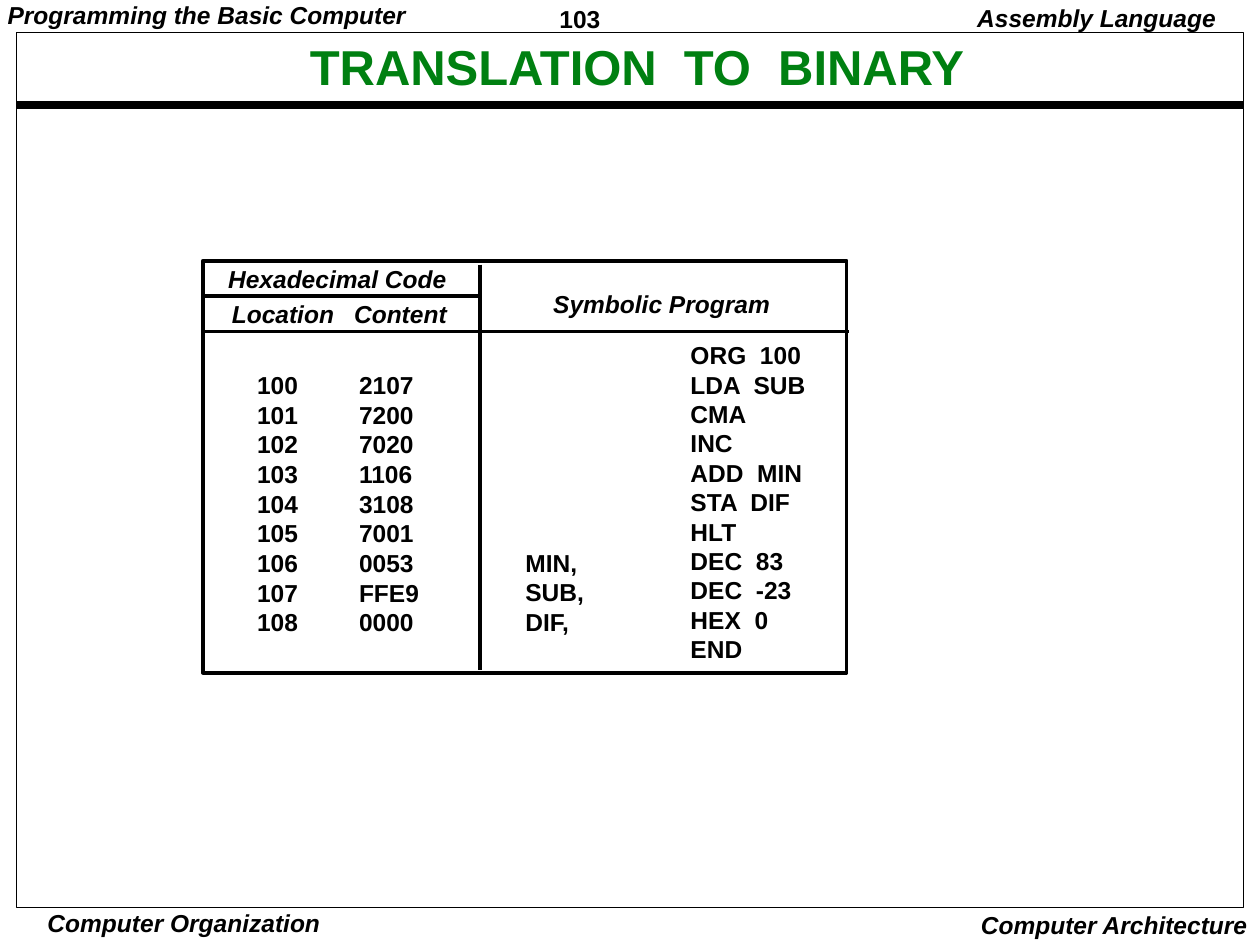
from lxml import etree
from pptx import Presentation
from pptx.dml.color import RGBColor
from pptx.enum.shapes import MSO_CONNECTOR, MSO_SHAPE
from pptx.enum.text import MSO_ANCHOR, MSO_AUTO_SIZE, PP_ALIGN
from pptx.oxml.ns import qn
from pptx.util import Inches, Pt

LEFT, CENTER, RIGHT = PP_ALIGN.LEFT, PP_ALIGN.CENTER, PP_ALIGN.RIGHT
MIDDLE = MSO_ANCHOR.MIDDLE
STRAIGHT = MSO_CONNECTOR.STRAIGHT
RECTANGLE = MSO_SHAPE.RECTANGLE
NO_AUTO_SIZE = MSO_AUTO_SIZE.NONE

BLACK = "000000"
GREEN = "008011"
BODY = {"name": "Arial", "size": Pt(14), "bold": True, "italic": False}
LABEL = {**BODY, "italic": True}
TITLE = {**BODY, "size": Pt(28)}
NARROW = (0.07, 0.03)
WIDE = (0.1, 0.05)
SPACING = 1.01
LINE_HEIGHT = 0.235
LISTING_TOP = 2.67
LISTING_PADDING = 0.06

WORDS = ["2107", "7200", "7020", "1106", "3108", "7001", "0053", "FFE9", "0000"]
MACHINE_CODE = [f"{100 + index}\t{word}" for index, word in enumerate(WORDS)]
SYMBOLS = ["MIN,", "SUB,", "DIF,"]
PROGRAM = ["ORG  100", "LDA  SUB", "CMA", "INC", "ADD  MIN", "STA  DIF",
           "HLT", "DEC  83", "DEC  -23", "HEX  0", "END"]

LABELS = [
    ("103", (4.37, 0, 1.08, 0.29), BODY, LEFT, SPACING, NARROW),
    ("Programming the Basic Computer", (-0.01, 0, 3.4, 0.27), LABEL, LEFT, 0.9, NARROW),
    ("Assembly Language", (7.03, 0, 2.72, 0.31), LABEL, RIGHT, 0.9, WIDE),
    ("Computer Organization", (0.32, 7.2, 2.28, 0.26), LABEL, CENTER, 1.0, (0.03, 0.01)),
    ("Computer Architecture", (7.63, 7.17, 2.37, 0.33), LABEL, RIGHT, 1.0, WIDE),
    ("Hexadecimal Code", (1.74, 2.06, 1.95, 0.29), LABEL, LEFT, SPACING, NARROW),
    ("Symbolic Program", (4.32, 2.26, 1.95, 0.29), LABEL, LEFT, SPACING, NARROW),
]
TABLE_RULES = [
    (1.6, 2.63, 6.74, 2.63),
    (3.81, 2.1, 3.81, 5.32),
    (1.63, 2.35, 3.82, 2.35),
]


def color(value):
    return RGBColor.from_string(value)


def apply(target, values):
    for name, value in values.items():
        setattr(target, name, value)


def fill_text(text_frame, lines, font, alignment, spacing, margins, tab=None, text_color=BLACK):
    horizontal, vertical = map(Inches, margins)
    apply(text_frame, {
        "word_wrap": True, "auto_size": NO_AUTO_SIZE,
        "margin_left": horizontal, "margin_right": horizontal,
        "margin_top": vertical, "margin_bottom": vertical,
    })
    for index, line in enumerate(lines):
        paragraph = text_frame.add_paragraph() if index else text_frame.paragraphs[0]
        apply(paragraph, {"alignment": alignment, "line_spacing": spacing})
        if tab is not None:
            properties = paragraph._p.get_or_add_pPr()
            tab_list = etree.SubElement(properties, qn("a:tabLst"))
            etree.SubElement(tab_list, qn("a:tab"), pos=str(Inches(tab)), algn="l")
        run = paragraph.add_run()
        run.text = line
        apply(run.font, font)
        run.font.color.rgb = color(text_color)


def add_text(slide, lines, box, font, alignment, spacing, margins, tab=None):
    shape = slide.shapes.add_textbox(*map(Inches, box))
    fill_text(shape.text_frame, lines, font, alignment, spacing, margins, tab)


def add_listing(slide, lines, left, width, first_row, spacing=SPACING, tab=None):
    top = LISTING_TOP + first_row * LINE_HEIGHT
    height = len(lines) * LINE_HEIGHT + LISTING_PADDING
    add_text(slide, lines, (left, top, width, height), BODY, LEFT, spacing, NARROW, tab)


def add_frame(slide, box, weight):
    shape = slide.shapes.add_shape(RECTANGLE, *map(Inches, box))
    shape.shadow.inherit = False
    shape.fill.background()
    shape.line.color.rgb = color(BLACK)
    shape.line.width = Pt(weight)


def add_rule(slide, ends, weight):
    connector = slide.shapes.add_connector(STRAIGHT, *map(Inches, ends))
    connector.line.color.rgb = color(BLACK)
    connector.line.width = Pt(weight)
    etree.SubElement(connector._element.spPr, qn("a:effectLst"))


def add_title(slide):
    title = slide.shapes.title
    apply(title, {"left": Inches(0.84), "top": Inches(0.32),
                  "width": Inches(8.43), "height": Inches(0.46)})
    title.text_frame.vertical_anchor = MIDDLE
    fill_text(title.text_frame, ["TRANSLATION  TO  BINARY"], TITLE, CENTER, 0.9, WIDE,
              text_color=GREEN)


def main():
    presentation = Presentation()
    presentation.slide_width = Inches(10)
    presentation.slide_height = Inches(7.5)
    slide = presentation.slides.add_slide(presentation.slide_layouts[5])

    add_rule(slide, (0.13, 0.83, 9.87, 0.83), 4.5)
    add_frame(slide, (0.13, 0.26, 9.74, 6.94), 0.5)
    add_title(slide)
    for text, box, font, alignment, spacing, margins in LABELS:
        add_text(slide, [text], box, font, alignment, spacing, margins)
    add_text(slide, ["Location\tContent"], (1.77, 2.34, 1.95, 0.29),
             LABEL, LEFT, SPACING, NARROW, tab=0.97)

    add_listing(slide, MACHINE_CODE, 1.97, 1.5, 1, tab=0.81)
    add_listing(slide, SYMBOLS, 4.1, 0.7, 7)
    add_listing(slide, PROGRAM, 5.41, 1.15, 0, spacing=1.0)
    add_frame(slide, (1.61, 2.07, 5.11, 3.27), 2)
    for ends in TABLE_RULES:
        add_rule(slide, ends, 2)

    presentation.save("out.pptx")


if __name__ == "__main__":
    main()
